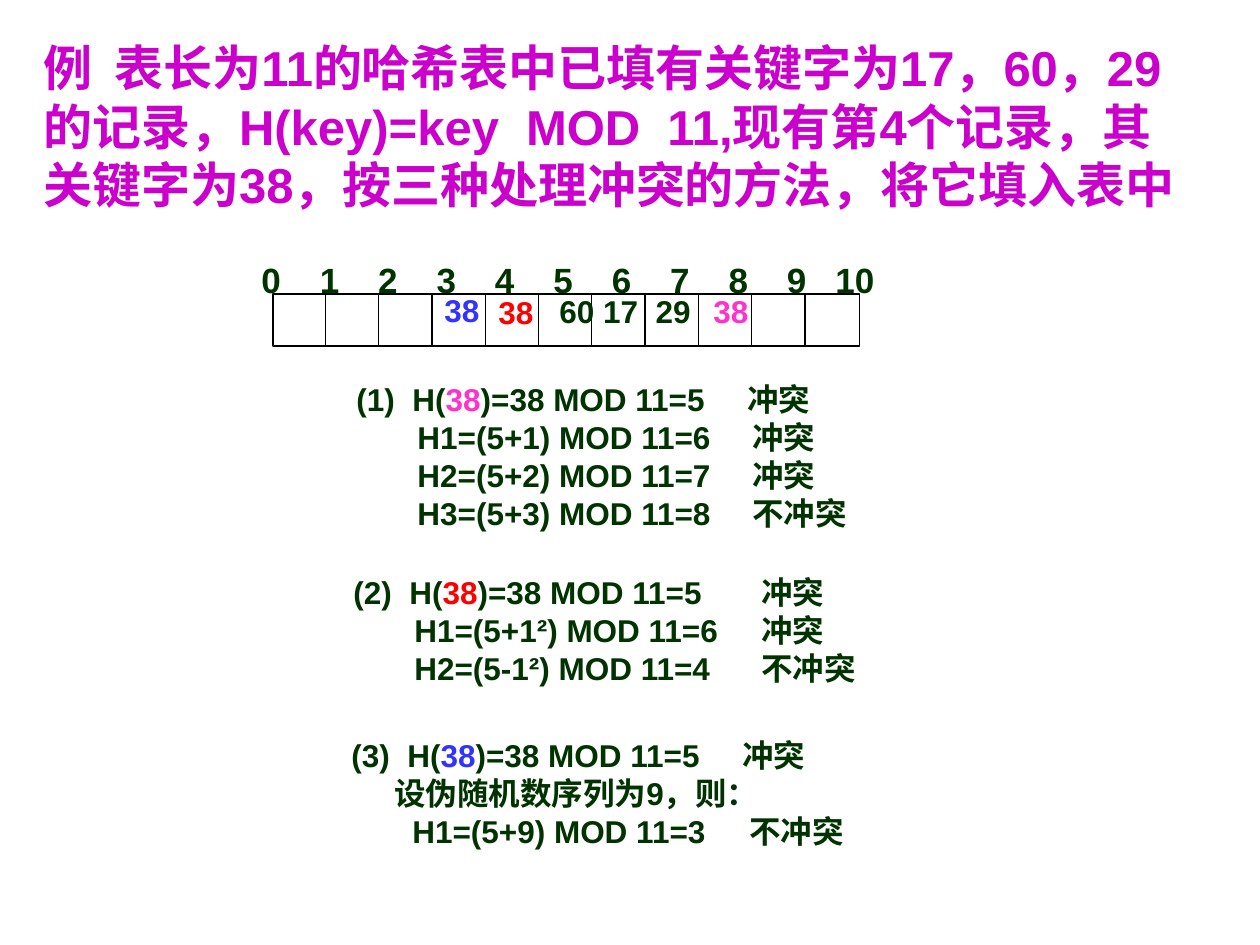
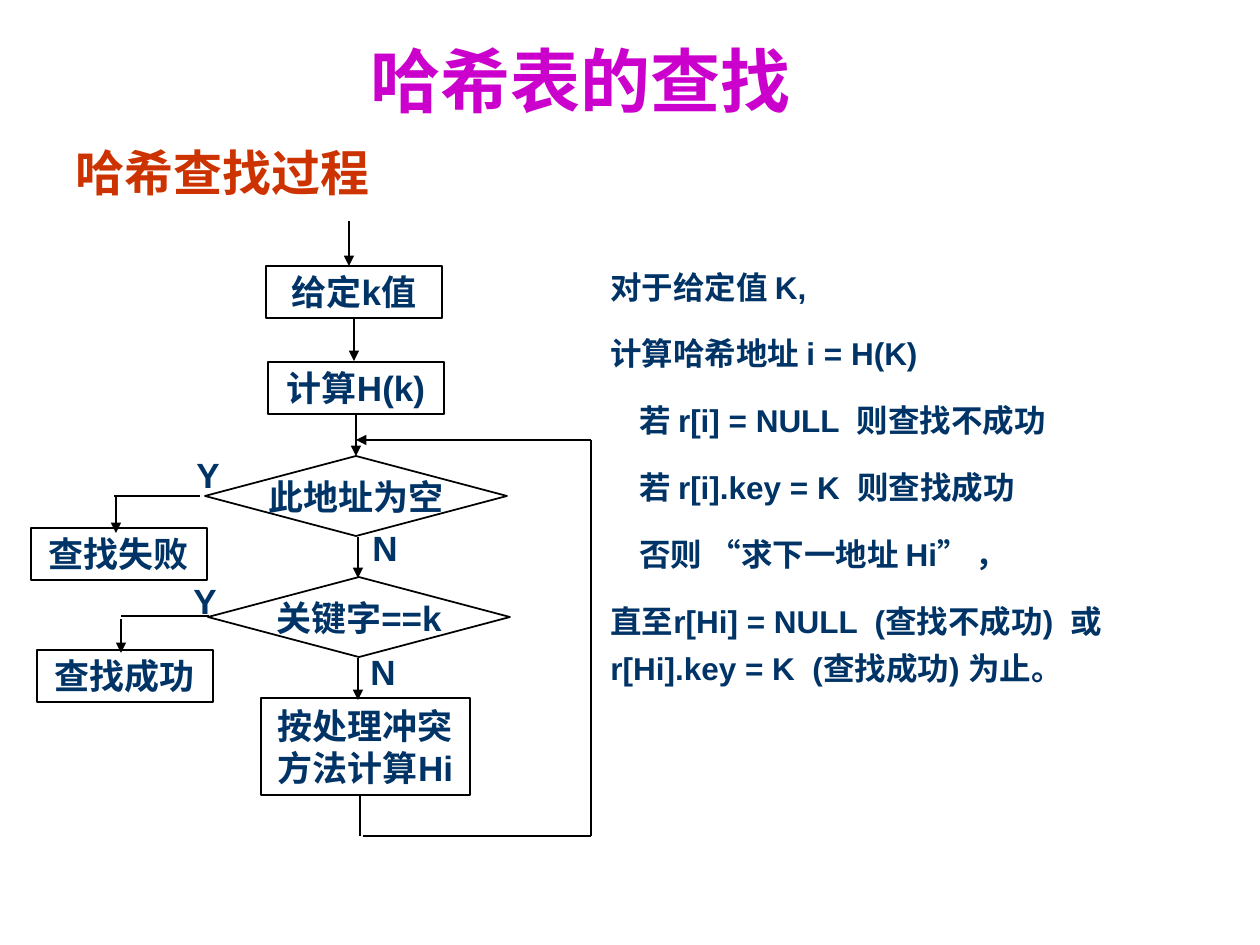
"""Build two slides on collision handling and lookup in a hash table."""
from lxml.etree import SubElement
from pptx import Presentation
from pptx.dml.color import RGBColor
from pptx.enum.shapes import MSO_CONNECTOR as Link, MSO_SHAPE as Shape
from pptx.enum.text import MSO_ANCHOR as Anchor, PP_ALIGN as Align
from pptx.oxml.ns import qn
from pptx.util import Emu, Inches, Pt

PURPLE = RGBColor(0xCC, 0x00, 0xCC)
GREEN = RGBColor(0x00, 0x33, 0x00)
NAVY = RGBColor(0x00, 0x33, 0x66)
ORANGE = RGBColor(0xCC, 0x33, 0x00)
PINK = RGBColor(0xFF, 0x33, 0xCC)
RED = RGBColor(0xFF, 0x00, 0x00)
BLUE = RGBColor(0x33, 0x33, 0xFF)
BLACK = RGBColor(0x00, 0x00, 0x00)
FONT = "Arial"


def px(length):
    return Emu(round(length * 914400 / 126))


class Deck:
    """Hold the shared style and the slide being filled."""

    def __init__(self):
        self.file = Presentation()
        self.file.slide_width, self.file.slide_height = Inches(10), Inches(7.5)
        self.slide = None

    def new_slide(self):
        self.slide = self.file.slides.add_slide(self.file.slide_layouts[6])

    def style(self, paragraph, size, color, indent=0, stops=()):
        props = paragraph._p.get_or_add_pPr()
        props.set("hangingPunct", "0")
        if indent:
            props.set("marL", str(px(indent)))
            props.set("indent", "0")
        if stops:
            tabs = SubElement(props, qn("a:tabLst"))
            for stop in stops:
                SubElement(tabs, qn("a:tab"), pos=str(px(stop)), algn="l")
        font = paragraph.font
        font.name, font.size, font.bold = FONT, Pt(size), True
        font.color.rgb = color

    def text(self, x, y, w, h, words, size, color, wrap=False, indent=0, stops=()):
        frame = self.slide.shapes.add_textbox(px(x), px(y), px(w), px(h)).text_frame
        frame.word_wrap = wrap
        frame.paragraphs[0].text = words
        self.style(frame.paragraphs[0], size, color, indent, stops)
        return frame

    def steps(self, x, y, w, h, label, key_color, result, rows):
        first_words, first_stops = result
        frame = self.text(x, y, w, h, f"{label}\tH(", 18, GREEN, True, stops=first_stops)
        opening = frame.paragraphs[0]
        key = opening.add_run()
        key.text = "38"
        key.font.color.rgb = key_color
        opening.add_run().text = f")=38 MOD 11=5\t{first_words}"
        for words, stops in rows:
            row = frame.add_paragraph()
            row.text = "\t" + words
            self.style(row, 18, GREEN, stops=stops)

    def prose(self, x, y, w, h, rows, size, color):
        frame = self.slide.shapes.add_textbox(px(x), px(y), px(w), px(h)).text_frame
        frame.word_wrap = True
        for number, (words, indent) in enumerate(rows):
            row = frame.add_paragraph() if number else frame.paragraphs[0]
            row.text = words
            row.line_spacing, row.space_before = 1.25, Pt(11.2)
            self.style(row, size, color, indent)

    def box(self, kind, x, y, w, h, *rows, weight=1):
        box = self.slide.shapes.add_shape(kind, px(x), px(y), px(w), px(h))
        box.shadow.inherit = False
        box.fill.background()
        box.line.color.rgb, box.line.width = BLACK, Pt(weight)
        frame = box.text_frame
        frame.word_wrap, frame.vertical_anchor = False, Anchor.MIDDLE
        for number, words in enumerate(rows):
            row = frame.add_paragraph() if number else frame.paragraphs[0]
            row.text, row.alignment = words, Align.CENTER
            self.style(row, 20, NAVY)

    def line(self, x1, y1, x2, y2, arrow=False, weight=1):
        line = self.slide.shapes.add_connector(Link.STRAIGHT, px(x1), px(y1), px(x2), px(y2))
        line.line.color.rgb, line.line.width = BLACK, Pt(weight)
        props = line._element.spPr
        if arrow:
            SubElement(props.find(qn("a:ln")), qn("a:tailEnd"), type="triangle")
        SubElement(props, qn("a:effectLst"))


deck = Deck()

deck.new_slide()
deck.text(31, 31, 1166, 248,
          "例  表长为11的哈希表中已填有关键字为17，60，29的记录，H(key)=key  MOD  11,"
          "现有第4个记录，其关键字为38，按三种处理冲突的方法，将它填入表中",
          28, PURPLE, wrap=True)
deck.text(249, 252, 645, 55, "\t".join(str(i) for i in range(11)), 20, GREEN, True,
          stops=[58.4 * i for i in range(1, 10)] + [574])
table_left, table_top, cell, table_height = 273, 294, 53.3, 52
deck.box(Shape.RECTANGLE, table_left, table_top, 11 * cell, table_height, weight=0.75)
for column in range(1, 11):
    edge = table_left - 1 + column * cell
    deck.line(edge, table_top, edge, table_top + table_height, weight=0.75)
deck.text(547, 286, 166, 50, "60 17  29", 18, GREEN, wrap=True)
for left, top, color in ((701, 286, PINK), (486, 287, RED), (432, 285, BLUE)):
    deck.text(left, top, 61, 50, "38", 18, color)

probe = (61, 396)
deck.steps(344, 374, 534, 164, "(1)", PINK, ("冲突", (56, 391)), [
    ("H1=(5+1) MOD 11=6\t冲突", probe),
    ("H2=(5+2) MOD 11=7\t冲突", probe),
    ("H3=(5+3) MOD 11=8\t不冲突", probe)])
square_probe = (61, 408)
deck.steps(341, 567, 540, 126, "(2)", RED, ("冲突", (56, 408)), [
    ("H1=(5+1²) MOD 11=6\t冲突", square_probe),
    ("H2=(5-1²) MOD 11=4\t不冲突", square_probe)])
deck.steps(339, 730, 530, 126, "(3)", BLUE, ("冲突", (56, 391)), [
    ("设伪随机数序列为9，则：", (43,)),
    ("H1=(5+9) MOD 11=3\t不冲突", (61, 398))])

deck.new_slide()
heading = deck.text(0, 136, 394, 73, "哈希查找过程", 28, ORANGE, True, indent=63)
heading.paragraphs[0].space_before = Pt(7)

for left, top, words in ((266, 266, "给定k值"), (268, 362, "计算H(k)"),
                         (31, 528, "查找失败"), (37, 650, "查找成功")):
    deck.box(Shape.FLOWCHART_PROCESS, left, top, 176, 52, words)
for left, top, words in ((205, 456, "此地址为空"), (208, 577, "关键字==k")):
    deck.box(Shape.FLOWCHART_DECISION, left, top, 302, 80, words)
deck.box(Shape.FLOWCHART_PROCESS, 261, 698, 209, 97, "按处理冲突", "方法计算Hi")

for x, start, end in ((349, 221, 266), (354, 318, 361), (356, 413, 456), (358, 537, 578),
                      (358, 658, 700), (116, 496, 533), (121, 619, 653)):
    deck.line(x, start, x, end, arrow=True)
for ends in ((200, 496, 114, 496), (209, 616, 121, 616), (360, 795, 360, 836),
             (363, 836, 591, 836), (591, 836, 591, 440)):
    deck.line(*ends)
deck.line(591, 440, 356, 440, arrow=True)

for left, top, answer in ((184, 447, "Y"), (360, 520, "N"), (181, 573, "Y"), (358, 644, "N")):
    deck.text(left, top, 50, 55, answer, 20, NAVY)

deck.text(358, 31, 445, 97, "哈希表的查找", 40, PURPLE)
deck.prose(598, 252, 630, 442, [
    ("对于给定值 K,", 0),
    ("计算哈希地址 i = H(K)", 0),
    ("若 r[i] = NULL  则查找不成功", 29),
    ("若 r[i].key = K  则查找成功", 29),
    ("否则 “求下一地址 Hi” ，", 29),
    ("直至r[Hi] = NULL  (查找不成功)  或r[Hi].key = K  (查找成功) 为止。", 0)], 18, NAVY)

deck.file.save("out.pptx")
